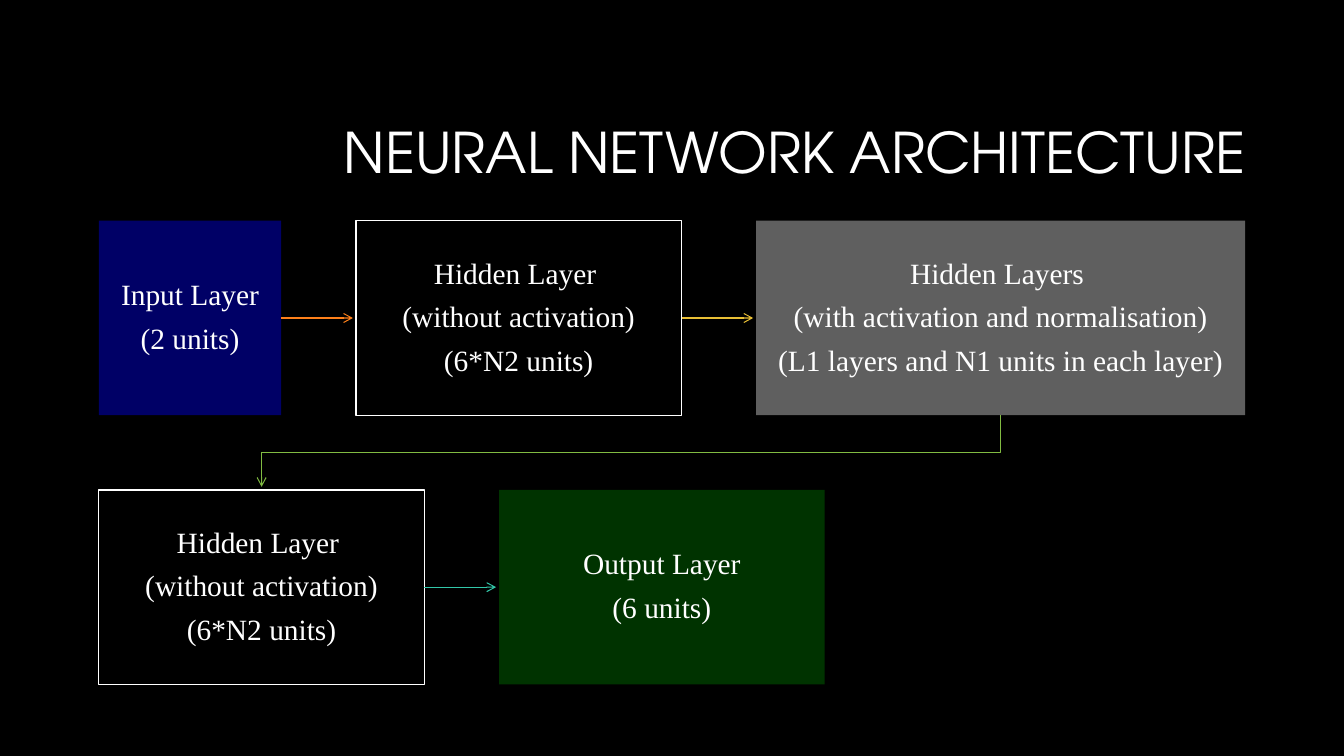
from pptx import Presentation
from pptx.dml.color import RGBColor
from pptx.enum.shapes import MSO_CONNECTOR, MSO_SHAPE
from pptx.enum.text import MSO_ANCHOR, PP_ALIGN
from pptx.oxml.ns import qn
from pptx.util import Inches, Pt
from lxml import etree

RECTANGLE = MSO_SHAPE.RECTANGLE
STRAIGHT = MSO_CONNECTOR.STRAIGHT
MIDDLE = MSO_ANCHOR.MIDDLE
CENTER = PP_ALIGN.CENTER

BLACK = RGBColor(0x00, 0x00, 0x00)
WHITE = RGBColor(0xFF, 0xFF, 0xFF)
NAVY = RGBColor(0x00, 0x00, 0x66)
GRAY = RGBColor(0x5F, 0x5F, 0x5F)
DARK_GREEN = RGBColor(0x00, 0x33, 0x00)
ORANGE = RGBColor(0xFE, 0x80, 0x1A)
YELLOW = RGBColor(0xE9, 0xBF, 0x35)
LIME = RGBColor(0x81, 0xBB, 0x42)
TEAL = RGBColor(0x32, 0xC7, 0xA9)

LEFT, GAP, HEIGHT = 0.98, 0.74, 1.93
TOP_ROW, BOTTOM_ROW = 2.19, 4.86
CLEARANCE = 0.03

HIDDEN_LINES = ["Hidden Layer ", "(without activation)", "(6*N2 units)"]
TOP_LAYERS = [
    (1.81, ["Input Layer", "(2 units)"], NAVY, ORANGE),
    (3.23, HIDDEN_LINES, None, YELLOW),
    (4.85, ["Hidden Layers ", "(with activation and normalisation)",
            "(L1 layers and N1 units in each layer)"], GRAY, None),
]
BOTTOM_LAYERS = [
    (3.23, HIDDEN_LINES, None, TEAL),
    (3.23, ["Output Layer", "(6 units)"], DARK_GREEN, None),
]


def write_text(frame, lines, *, font, size, inset, space_after=0):
    """Fill a text frame with centred white lines."""
    frame.word_wrap = True
    frame.vertical_anchor = MIDDLE
    frame.margin_left = frame.margin_right = Inches(inset)
    frame.margin_top = frame.margin_bottom = Inches(inset)
    for index, line in enumerate(lines):
        paragraph = frame.add_paragraph() if index else frame.paragraphs[0]
        paragraph.alignment = CENTER
        paragraph.line_spacing = 0.9
        paragraph.space_after = Pt(space_after)
        run = paragraph.add_run()
        run.text = line
        run.font.name = font
        run.font.size = Pt(size)
        run.font.color.rgb = WHITE


def add_title(slide, title):
    """Add the slide heading."""
    heading = slide.shapes.add_textbox(
        Inches(3.17), Inches(0.84), Inches(9.42), Inches(1.41))
    write_text(heading.text_frame, [title],
               font="TeX Gyre Adventor", size=40, inset=0.1)


def add_layer(slide, left, top, width, lines, fill):
    """Add one network layer, outlined when it has no fill."""
    layer = slide.shapes.add_shape(
        RECTANGLE, Inches(left), Inches(top), Inches(width), Inches(HEIGHT))
    layer.shadow.inherit = False
    if fill is None:
        layer.fill.background()
        layer.line.color.rgb = WHITE
        layer.line.width = Pt(1)
    else:
        layer.fill.solid()
        layer.fill.fore_color.rgb = fill
        layer.line.fill.background()
    write_text(layer.text_frame, lines, font="Times New Roman",
               size=21, inset=0.16, space_after=8.4)


def style_arrow(arrow, color):
    """Give a line its colour and an open arrowhead."""
    arrow.line.color.rgb = color
    arrow.line.width = Pt(0.75)
    outline = arrow.line._get_or_add_ln()
    etree.SubElement(outline, qn("a:tailEnd"), type="arrow")


def add_flow(slide, start, end, y, color):
    """Add a horizontal arrow between neighbouring layers."""
    flow = slide.shapes.add_connector(
        STRAIGHT, Inches(start), Inches(y), Inches(end), Inches(y))
    style_arrow(flow, color)
    etree.SubElement(flow._element.spPr, qn("a:effectLst"))


def add_return_flow(slide, start_x, end_x, color):
    """Add the bent arrow from the top row to the bottom row."""
    start_y = TOP_ROW + HEIGHT
    middle_y = (start_y + BOTTOM_ROW) / 2
    corners = [(start_x, middle_y), (end_x, middle_y),
               (end_x, BOTTOM_ROW - CLEARANCE)]
    builder = slide.shapes.build_freeform(Inches(start_x), Inches(start_y))
    builder.add_line_segments(
        [(Inches(x), Inches(y)) for x, y in corners], close=False)
    bend = builder.convert_to_shape()
    bend.shadow.inherit = False
    bend.fill.background()
    style_arrow(bend, color)


def add_row(slide, top, layers):
    """Add a row of layers with arrows and return their centres."""
    left, centers = LEFT, []
    for width, lines, fill, flow_color in layers:
        add_layer(slide, left, top, width, lines, fill)
        centers.append(left + width / 2)
        right = left + width
        left = right + GAP
        if flow_color is not None:
            add_flow(slide, right, left - CLEARANCE, top + HEIGHT / 2, flow_color)
    return centers


def main():
    """Build the neural network architecture slide."""
    deck = Presentation()
    deck.slide_width, deck.slide_height = Inches(13.33), Inches(7.5)
    slide = deck.slides.add_slide(deck.slide_layouts[6])
    slide.background.fill.solid()
    slide.background.fill.fore_color.rgb = BLACK
    add_title(slide, "NEURAL NETWORK ARCHITECTURE")
    top_centers = add_row(slide, TOP_ROW, TOP_LAYERS)
    bottom_centers = add_row(slide, BOTTOM_ROW, BOTTOM_LAYERS)
    add_return_flow(slide, top_centers[-1], bottom_centers[0], LIME)
    deck.save("out.pptx")


if __name__ == "__main__":
    main()
